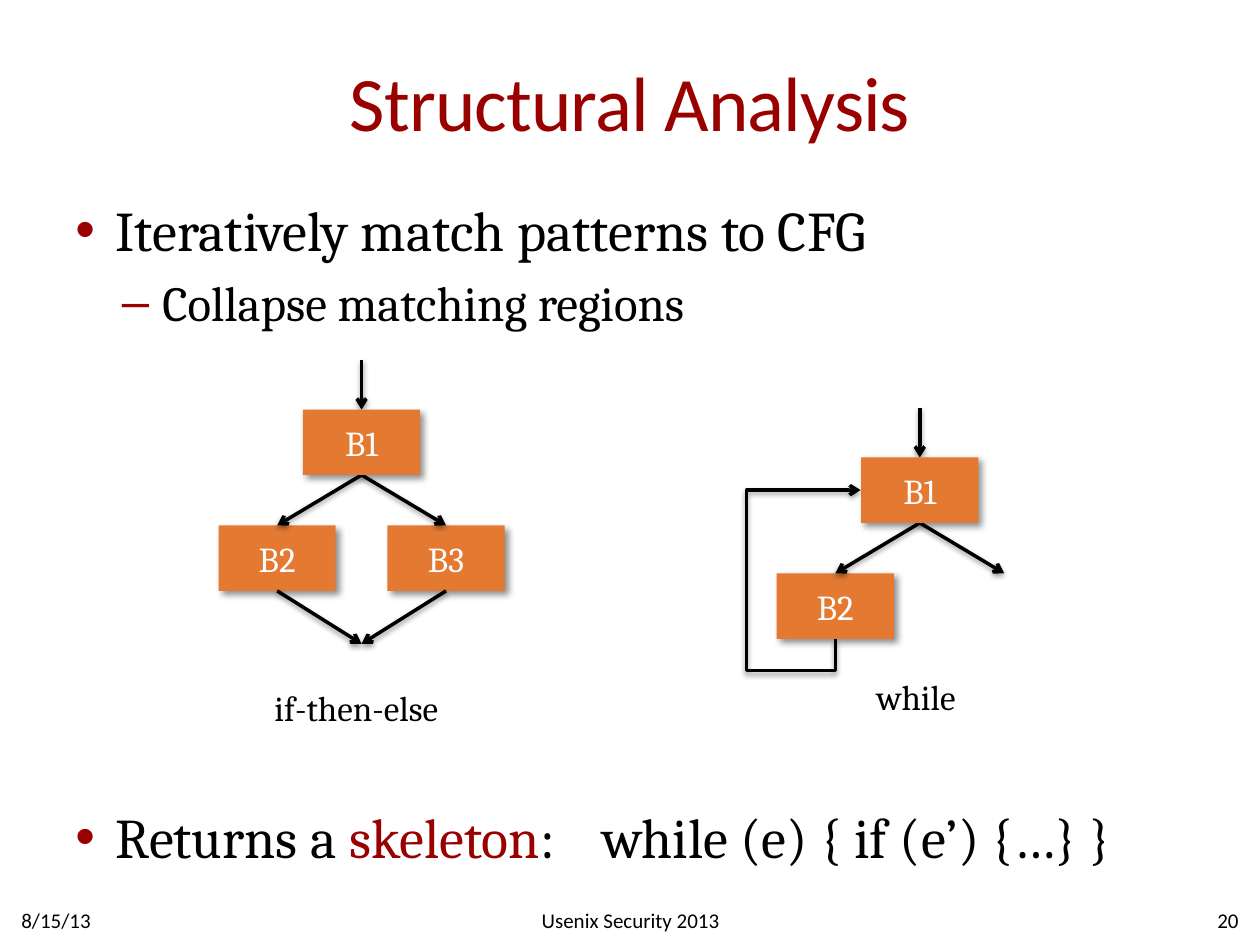
from dataclasses import dataclass

from lxml import etree
from pptx import Presentation
from pptx.dml.color import RGBColor
from pptx.enum.shapes import MSO_CONNECTOR, MSO_SHAPE
from pptx.enum.text import MSO_ANCHOR, PP_ALIGN
from pptx.oxml.ns import qn
from pptx.util import Inches, Pt

LEFT, MID, RIGHT = PP_ALIGN.LEFT, PP_ALIGN.CENTER, PP_ALIGN.RIGHT
TOP, CENTER = MSO_ANCHOR.TOP, MSO_ANCHOR.MIDDLE
RECT = MSO_SHAPE.RECTANGLE
LINE, ELBOW = MSO_CONNECTOR.STRAIGHT, MSO_CONNECTOR.ELBOW


@dataclass(frozen=True)
class Theme:
    """Colours, fonts and type sizes."""
    red: str = "990000"
    black: str = "000000"
    white: str = "FFFFFF"
    orange: str = "E47932"
    sans: str = "Calibri"
    serif: str = "Cambria"
    title: int = 44
    main: int = 32
    sub: int = 28
    node: int = 20
    foot: int = 12
    stroke: int = 2


THEME = Theme()
NODE_W, NODE_H = 0.93, 0.52
SIDE, DROP, ENTRY = 0.67, 0.92, 0.39


def add(parent, tag, **attrs):
    """Append an XML child with the given attributes."""
    child = etree.SubElement(parent, qn(tag))
    for key, value in attrs.items():
        child.set(key, str(value))
    return child


def style(run, size, face, color):
    """Set size, face and colour of a run."""
    run.font.size = Pt(size)
    run.font.name = face
    run.font.color.rgb = RGBColor.from_string(color)


def shade(shape, alpha, blur, dist, angle):
    """Give a shape a soft outer shadow."""
    effects = add(shape._element.spPr, "a:effectLst")
    outer = add(effects, "a:outerShdw", blurRad=Pt(blur), dist=Pt(dist),
                dir=angle * 60000, rotWithShape=0)
    color = add(outer, "a:srgbClr", val=THEME.black)
    add(color, "a:alpha", val=alpha * 1000)


def box(slide, place, wrap=True, anchor=TOP, inset=(0.1, 0.05)):
    """Add an empty text box and return its frame."""
    frame = slide.shapes.add_textbox(*map(Inches, place)).text_frame
    frame.word_wrap = wrap
    frame.vertical_anchor = anchor
    frame.margin_left = frame.margin_right = Inches(inset[0])
    frame.margin_top = frame.margin_bottom = Inches(inset[1])
    return frame


def write(frame, text, size, face, color, align=LEFT):
    """Fill a frame with one styled line."""
    frame.text = text
    para = frame.paragraphs[0]
    para.alignment = align
    style(para.runs[0], size, face, color)
    return para.runs[0]


def bullet(para, parts, size, mark, indent, tab=None):
    """Write coloured parts behind a red bullet mark."""
    props = para._p.get_or_add_pPr()
    props.set("marL", str(Inches(indent)))
    props.set("indent", str(Inches(-0.32)))
    add(add(props, "a:buClr"), "a:srgbClr", val=THEME.red)
    add(props, "a:buFont", typeface="Arial")
    add(props, "a:buChar", char=mark)
    if tab:
        add(add(props, "a:tabLst"), "a:tab", pos=Inches(tab), algn="l")
    for text, color in parts:
        run = para.add_run()
        run.text = text
        style(run, size, THEME.serif, color)


def node(slide, text, x, y):
    """Add a block with its top centre at x, y."""
    place = (x - NODE_W / 2, y, NODE_W, NODE_H)
    shape = slide.shapes.add_shape(RECT, *map(Inches, place))
    shape.fill.solid()
    shape.fill.fore_color.rgb = RGBColor.from_string(THEME.orange)
    shape.line.fill.background()
    shade(shape, 43, 4, 3, 45)
    shape.text_frame.vertical_anchor = CENTER
    write(shape.text_frame, text, THEME.node, THEME.serif, THEME.white, MID)
    return shape


def arrow(slide, start, end, kind=LINE):
    """Add a black arrow between two points."""
    link = slide.shapes.add_connector(kind, *map(Inches, start + end))
    link.line.color.rgb = RGBColor.from_string(THEME.black)
    link.line.width = Pt(THEME.stroke)
    add(link.line._get_or_add_ln(), "a:tailEnd", type="arrow")
    shade(link, 38, 3.1, 1.6, 90)
    return link


def loop(slide, tail, head):
    """Lead an elbow arrow from the tail block back to the head block."""
    link = arrow(slide, (6.63, 5.07), (6.83, 3.89), ELBOW)
    link.begin_connect(tail, 2)
    link.end_connect(head, 1)
    link.left, link.top, link.width, link.height = map(
        Inches, (6.14, 4.38, 1.18, 0.2))
    props = link._element.spPr
    for key, value in (("rot", "5400000"), ("flipH", "1"), ("flipV", "1")):
        props.find(qn("a:xfrm")).set(key, value)
    geom = props.find(qn("a:prstGeom"))
    geom.set("prst", "bentConnector4")
    guides = geom.find(qn("a:avLst"))
    if guides is None:
        guides = add(geom, "a:avLst")
    for name, value in (("adj1", -21200), ("adj2", -353100)):
        add(guides, "a:gd", name=name, fmla=f"val {value}")


def fork(slide, x, y, names):
    """Draw a head block, its entry arrow and two branches."""
    kids = [node(slide, name, x + side, y + DROP)
            for name, side in zip(names, (-SIDE, SIDE))]
    arrow(slide, (x, y - ENTRY), (x, y))
    for side in (-SIDE, SIDE):
        arrow(slide, (x, y + NODE_H), (x + side, y + DROP))
    return node(slide, "B1", x, y), kids


def label(slide, text, place):
    """Name a pattern."""
    write(box(slide, place, wrap=False), text,
          THEME.node, THEME.serif, THEME.black)


def body(slide):
    """Write the bullet lines."""
    frame = box(slide, (0.5, 1.5, 9, 1.3))
    bullet(frame.paragraphs[0],
           [("Iteratively match patterns to CFG", THEME.black)],
           THEME.main, "•", 0.32)
    para = frame.add_paragraph()
    para.level = 1
    bullet(para, [("Collapse matching regions", THEME.black)],
           THEME.sub, "–", 0.69)
    para.space_before = Pt(5.6)
    frame = box(slide, (0.5, 6.32, 9, 0.65))
    bullet(frame.paragraphs[0],
           [("Returns a ", THEME.black), ("skeleton", THEME.red),
            (":\twhile (e) { if (e’) {…} }", THEME.black)],
           THEME.main, "•", 0.32, tab=4.18)


def main():
    """Build and save the slide."""
    deck = Presentation()
    deck.slide_width, deck.slide_height = Inches(10), Inches(7.5)
    slide = deck.slides.add_slide(deck.slide_layouts[6])
    frame = box(slide, (0.5, 0.17, 9, 1.25), anchor=CENTER, inset=(0, 0.05))
    run = write(frame, "Structural Analysis", THEME.title, THEME.sans,
                THEME.red, MID)
    run._r.get_or_add_rPr().set("spc", "-50")
    body(slide)
    for text, x, width, align in (("8/15/13", 0.17, 2.33, LEFT),
                                  ("Usenix Security 2013", 3.42, 3.17, MID),
                                  ("20", 7.5, 2.33, RIGHT)):
        frame = box(slide, (x, 7.1, width, 0.4), anchor=CENTER, inset=(0, 0))
        write(frame, text, THEME.foot, THEME.sans, THEME.black, align)

    x, y = 2.87, 3.25
    fork(slide, x, y, ("B2", "B3"))
    for side in (-SIDE, SIDE):
        arrow(slide, (x + side, y + DROP + NODE_H), (x, 5.11))
    label(slide, "if-then-else", (2.08, 5.4, 1.56, 0.44))

    head, kids = fork(slide, 7.3, 3.63, ("B2",))
    loop(slide, kids[0], head)
    label(slide, "while", (6.86, 5.31, 0.86, 0.44))
    deck.save("out.pptx")


if __name__ == "__main__":
    main()
